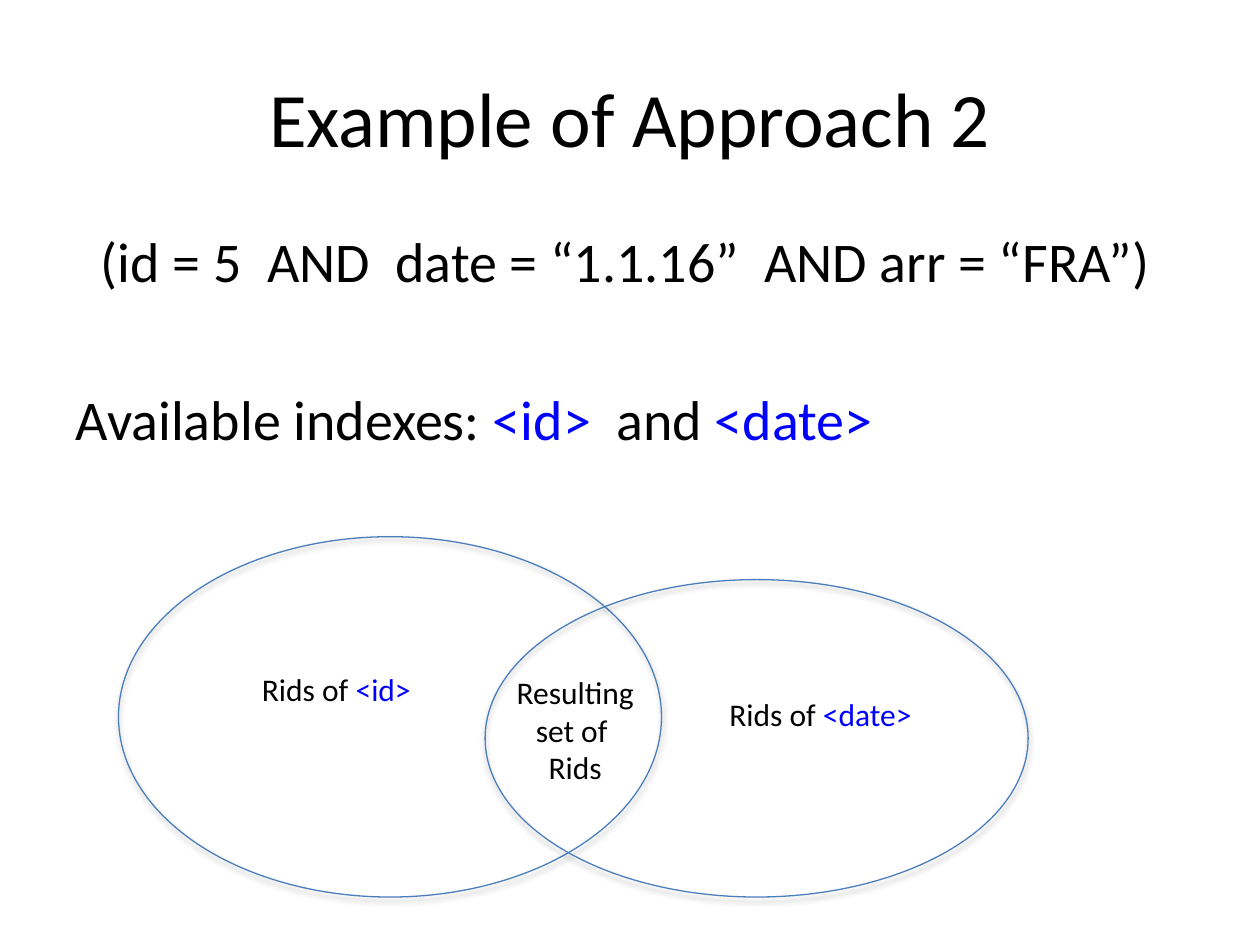
from lxml import etree
from pptx import Presentation
from pptx.dml.color import RGBColor
from pptx.enum.shapes import MSO_SHAPE
from pptx.enum.text import MSO_ANCHOR, MSO_AUTO_SIZE, PP_ALIGN
from pptx.oxml.ns import qn
from pptx.util import Pt

ELLIPSE = MSO_SHAPE.OVAL
MIDDLE = MSO_ANCHOR.MIDDLE
FIT_SHAPE = MSO_AUTO_SIZE.SHAPE_TO_FIT_TEXT
LEFT, CENTER = PP_ALIGN.LEFT, PP_ALIGN.CENTER

FONT = "Calibri"
BLACK, BLUE, OUTLINE = "000000", "0000FF", "4B7EBC"


def color(hex_string):
    return RGBColor.from_string(hex_string)


def place(shape, box):
    shape.left, shape.top, shape.width, shape.height = (Pt(v) for v in box)


def add_spans(para, spans, size, align=LEFT):
    """Add (text, colour) spans to a paragraph, run by run."""
    para.alignment = align
    for text, hex_string in spans:
        span = para.add_run()
        span.text = text
        span.font.name = FONT
        span.font.size = Pt(size)
        span.font.color.rgb = color(hex_string)


def remove_bullet(para, indent):
    properties = para._p.get_or_add_pPr()
    properties.set("marL", str(Pt(indent)))
    properties.set("indent", "0")
    etree.SubElement(properties, qn("a:buNone"))


def fill_title(page, box):
    title = page.shapes.title
    place(title, box)
    title.text_frame.vertical_anchor = MIDDLE
    add_spans(title.text_frame.paragraphs[0],
              [("Example of Approach 2", BLACK)], 44, CENTER)


def fill_body(page, box):
    body = page.placeholders[1]
    place(body, box)
    frame = body.text_frame

    # Query condition
    condition = frame.paragraphs[0]
    add_spans(condition,
              [("(id = 5  AND  date = “1.1.16”  AND arr = “FRA”)", BLACK)], 32)
    remove_bullet(condition, 14.5)

    # Indexes, set well below the condition
    indexes = frame.add_paragraph()
    indexes.space_before = Pt(51.8)
    add_spans(indexes, [("Available indexes: ", BLACK), ("<id>  ", BLUE),
                        ("and ", BLACK), ("<date>", BLUE)], 32)
    remove_bullet(indexes, 0)


def add_set(page, box):
    """Outlined ellipse that keeps the soft shadow of the theme."""
    ellipse = page.shapes.add_shape(ELLIPSE, *(Pt(v) for v in box))
    ellipse.fill.background()
    ellipse.line.color.rgb = color(OUTLINE)
    ellipse.line.width = Pt(0.75)


def add_label(page, box, lines, align=LEFT):
    label = page.shapes.add_textbox(*(Pt(v) for v in box))
    frame = label.text_frame
    frame.word_wrap = False
    frame.auto_size = FIT_SHAPE
    for number, spans in enumerate(lines):
        para = frame.add_paragraph() if number else frame.paragraphs[0]
        add_spans(para, spans, 18, align)


def add_venn_diagram(page, box):
    left, top, width, height = box
    set_width, date_drop = 310.3, 24.5

    # Overlapping sets, both resting on the lower edge of the box
    add_set(page, (left, top, set_width, height))
    add_set(page, (left + width - set_width, top + date_drop,
                   set_width, height - date_drop))

    # Labels
    add_label(page, (left + 74.9, top + 72.7, 100, 29),
              [[("Rids of ", BLACK), ("<id>", BLUE)]])
    add_label(page, (left + 342, top + 87.1, 120.2, 29),
              [[("Rids of ", BLACK), ("<date>", BLUE)]])
    add_label(page, (left + 219.6, top + 74.2, 82.8, 72.7),
              [[(text, BLACK)] for text in ("Resulting ", "set of ", "Rids")],
              CENTER)


def main():
    deck = Presentation()
    deck.slide_width, deck.slide_height = Pt(720), Pt(540)
    page = deck.slides.add_slide(deck.slide_layouts[1])
    fill_title(page, (36, 21.6, 648, 90))
    fill_body(page, (36, 126, 648, 356.4))
    add_venn_diagram(page, (67.7, 306.7, 519.8, 205.9))
    deck.save("out.pptx")


if __name__ == "__main__":
    main()
